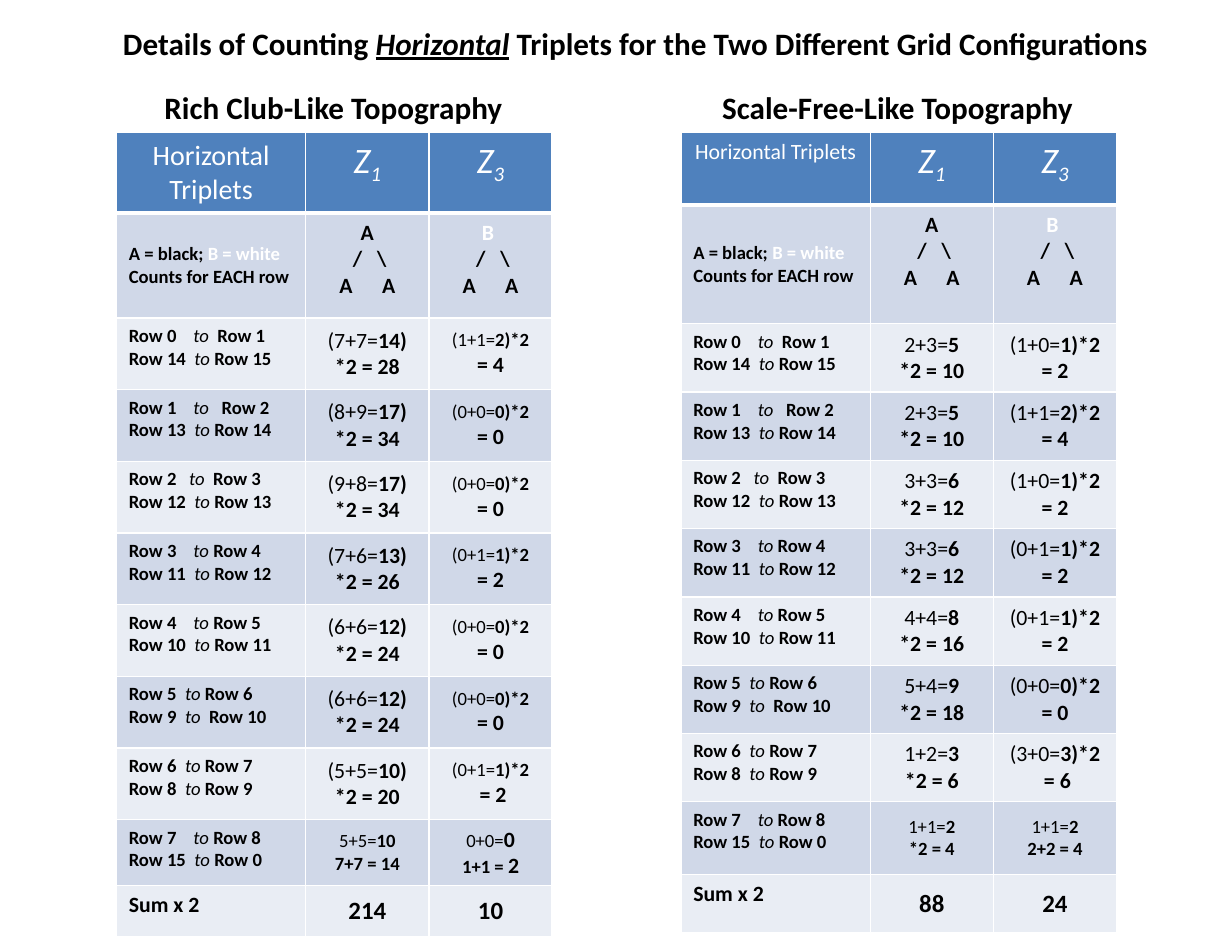
"""Build a slide that counts horizontal triplets in two grid topographies."""
from lxml import etree
from pptx import Presentation
from pptx import util as u
from pptx.dml.color import RGBColor
from pptx.enum import text
from pptx.oxml import ns


def write(frame, line, size=12, color="000000", align=None, bold=True, italic=False, alt=None):
    """Add one paragraph; every second piece between bars takes the alt format."""
    paragraph = frame.paragraphs[0]
    if paragraph.runs:
        paragraph = frame.add_paragraph()
    paragraph.alignment = align
    base = dict(size=size, color=color, bold=bold, italic=italic, underline=False, baseline=0)
    for index, piece in enumerate(line.split("|")):
        if not piece:
            continue
        style = {**base, **(alt or {})} if index % 2 else base
        run = paragraph.add_run()
        run.text = piece
        run.font.name = "Calibri"
        run.font.size = u.Pt(style["size"])
        run.font.bold = style["bold"]
        run.font.italic = style["italic"]
        run.font.underline = style["underline"]
        run.font.color.rgb = RGBColor.from_string(style["color"])
        if style["baseline"]:
            run.font._element.set("baseline", str(style["baseline"]))


def fill_cell(cell, lines, fill, middle=False, bottom_width=1, **fmt):
    """Give a cell its borders, fill, margins and lines of (text, format)."""
    properties = cell._tc.get_or_add_tcPr()
    for side in "LRTB":
        width = bottom_width if side == "B" else 1
        border = etree.SubElement(properties, ns.qn(f"a:ln{side}"), w=str(u.Pt(width)))
        solid = etree.SubElement(border, ns.qn("a:solidFill"))
        etree.SubElement(solid, ns.qn("a:srgbClr"), val="FFFFFF")
    cell.fill.solid()
    cell.fill.fore_color.rgb = RGBColor.from_string(fill)
    cell.margin_left = cell.margin_right = u.Inches(0.11)
    cell.margin_top = cell.margin_bottom = u.Inches(0.06)
    cell.vertical_anchor = text.MSO_ANCHOR.MIDDLE if middle else text.MSO_ANCHOR.TOP
    for line, extra in lines:
        write(cell.text_frame, line, **{**fmt, **extra})


CENTER = text.PP_ALIGN.CENTER
PLAIN = dict(bold=False)
SLANTED = dict(bold=False, italic=True)
SUBSCRIPT = dict(baseline=-25000)
WHITE = dict(color="FFFFFF")
BANDS = ["D0D8E8", "E9EDF4"]

row_pairs = [
    ("Row 0    |to  |Row 1", "Row 14  |to |Row 15"),
    ("Row 1    |to   |Row 2", "Row 13  |to |Row 14"),
    ("Row 2   |to  |Row 3", "Row 12  |to |Row 13"),
    ("Row 3    |to |Row 4", "Row 11  |to |Row 12"),
    ("Row 4    |to |Row 5", "Row 10  |to |Row 11"),
    ("Row 5  |to |Row 6", "Row 9  |to | Row 10"),
    ("Row 6  |to |Row 7", "Row 8  |to |Row 9"),
    ("Row 7    |to |Row 8", "Row 15  |to |Row 0"),
]

rich_club = dict(
    left=1.04, height=7.2, header_size=18, z3_size=12, one_line=True,
    row_heights=[0.5, 0.94] + [0.64] * 7 + [0.58, 0.46],
    z1=[(7, 7), (8, 9), (9, 8), (7, 6), (6, 6), (6, 6), (5, 5)],
    z3=[(1, 1), (0, 0), (0, 0), (0, 1), (0, 0), (0, 0), (0, 1)],
    last_z1=[("|5+5=|10", dict(alt=PLAIN)), ("7+7 = 14", {})],
    last_z3=[("|0+0=|0", dict(size=14, alt=dict(size=12, bold=False))),
             ("1+1 = |2", dict(alt=dict(size=14)))],
    sums=("214", "10"),
)
scale_free = dict(
    left=6.08, height=7.16, header_size=14, z3_size=14, one_line=False,
    row_heights=[0.65, 1.06] + [0.61] * 7 + [0.65, 0.52],
    z1=[(2, 3), (2, 3), (3, 3), (3, 3), (4, 4), (5, 4), (1, 2)],
    z3=[(1, 0), (1, 1), (1, 0), (0, 1), (0, 1), (0, 0), (3, 0)],
    last_z1=[("|1+1=|2", dict(alt=PLAIN)), ("*2 = 4", {})],
    last_z3=[("|1+1=|2", dict(alt=PLAIN)), ("2+2 = 4", {})],
    sums=("88", "24"),
)

prs = Presentation()
prs.slide_width, prs.slide_height = u.Inches(11), u.Inches(8.5)
slide = prs.slides.add_slide(prs.slide_layouts[6])

headings = [
    ("Details of Counting |Horizontal| Triplets for the Two Different Grid Configurations", 1, 0.17, 9.46),
    ("Rich Club-Like Topography", 1.37, 0.74, 3.27),
    ("Scale-Free-Like Topography", 6.35, 0.74, 3.36),
]
for heading, left, top, width in headings:
    box = slide.shapes.add_textbox(u.Inches(left), u.Inches(top), u.Inches(width), u.Inches(0.44))
    box.text_frame.word_wrap = False
    box.text_frame.auto_size = text.MSO_AUTO_SIZE.SHAPE_TO_FIT_TEXT
    write(box.text_frame, heading, size=20, alt=dict(italic=True, underline=True))

for grid in (rich_club, scale_free):
    counts = slide.shapes.add_table(
        11, 3, u.Inches(grid["left"]), u.Inches(1.18), u.Inches(3.89), u.Inches(grid["height"])).table
    for column, width in zip(counts.columns, (1.69, 1.1, 1.1)):
        column.width = u.Inches(width)
    for row, height in zip(counts.rows, grid["row_heights"]):
        row.height = u.Inches(height)

    header = [
        ("Horizontal Triplets", dict(size=grid["header_size"])),
        ("Z|1", dict(size=23, italic=True, alt={"italic": True, **SUBSCRIPT})),
        ("Z|3", dict(size=23, italic=True, alt={"italic": True, **SUBSCRIPT})),
    ]
    for column, line in enumerate(header):
        fill_cell(counts.cell(0, column), [line], "4F81BD", bottom_width=3,
                  color="FFFFFF", bold=False, align=CENTER)

    legend = [("A = black; |B = white", dict(alt=WHITE)), ("Counts for EACH row", {})]
    fill_cell(counts.cell(1, 0), legend, BANDS[0], middle=True)
    for column, apex in enumerate([("A", {}), ("B ", WHITE)], start=1):
        triplet = [apex, (" /   \\", {}), ("A      A", {})]
        fill_cell(counts.cell(1, column), triplet, BANDS[0], size=14, align=CENTER)

    for index, pair in enumerate(row_pairs):
        fill_cell(counts.cell(index + 2, 0), [(line, {}) for line in pair],
                  BANDS[(index + 1) % 2], alt=SLANTED)

    for index, ((a, b), (c, d)) in enumerate(zip(grid["z1"], grid["z3"])):
        band = BANDS[(index + 1) % 2]
        if grid["one_line"]:
            z1_lines = [(f"|({a}+{b}=|{a + b}) *2 = {2 * (a + b)}", {})]
        else:
            z1_lines = [(f"|{a}+{b}=|{a + b}", {}), (f"*2 = {2 * (a + b)}", {})]
        lead = " " if index == 6 else ""
        z3_lines = [(f"|({c}+{d}=|{c + d})*2", dict(size=grid["z3_size"])),
                    (f"{lead}= {2 * (c + d)}", {})]
        for column, lines in enumerate((z1_lines, z3_lines), start=1):
            fill_cell(counts.cell(index + 2, column), lines, band, middle=True,
                      size=14, align=CENTER, alt=PLAIN)

    for column, key in enumerate(("last_z1", "last_z3"), start=1):
        fill_cell(counts.cell(9, column), grid[key], BANDS[0], middle=True, align=CENTER)
    fill_cell(counts.cell(10, 0), [("Sum x 2", {})], BANDS[1], size=14)
    for column, total in enumerate(grid["sums"], start=1):
        fill_cell(counts.cell(10, column), [(total, {})], BANDS[1], middle=True, size=16, align=CENTER)

prs.save("out.pptx")
